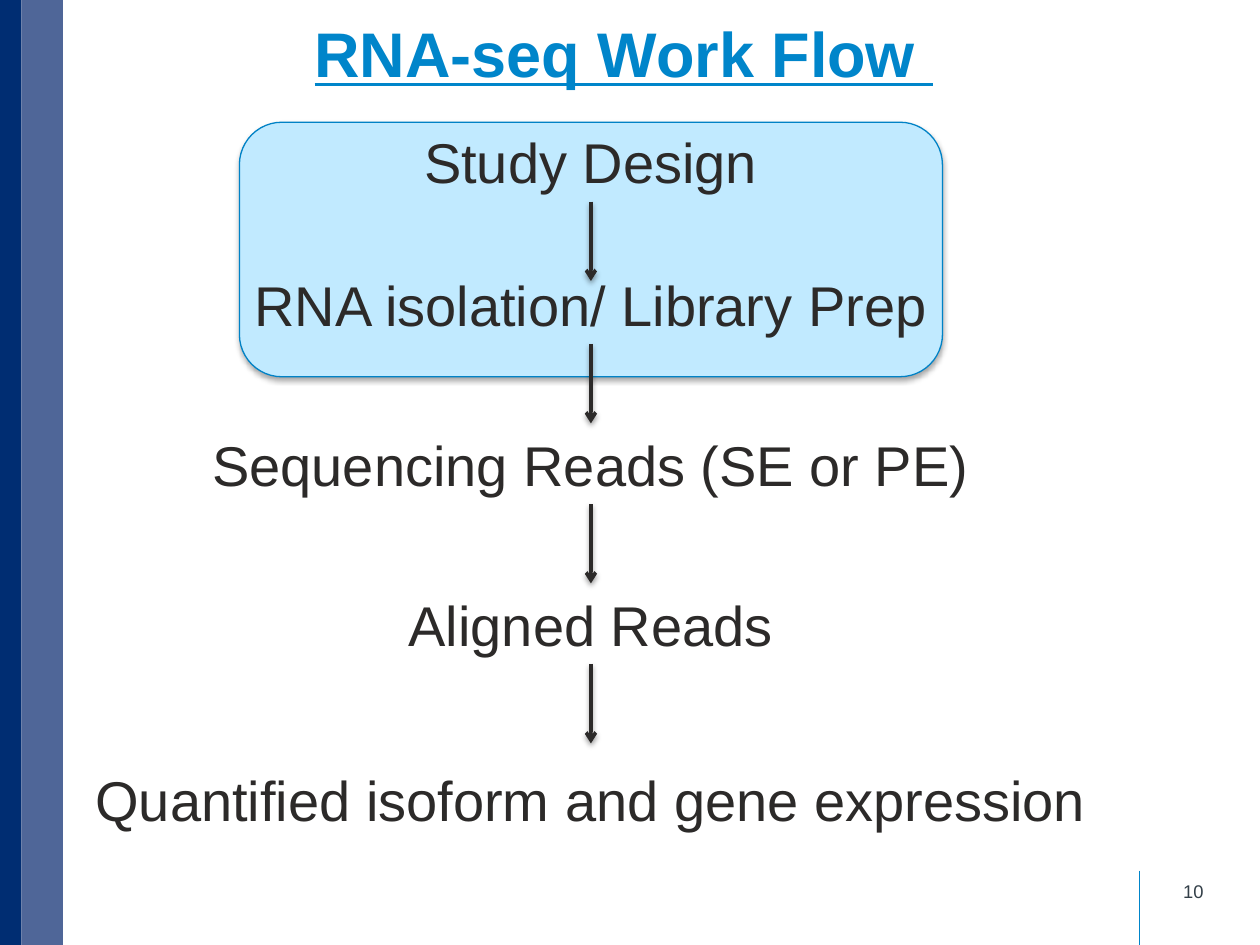
"""Builds the RNA-seq work flow slide: five steps joined by arrows."""
import pptx
import pptx.util
import pptx.dml.color
import pptx.enum.shapes
import pptx.enum.text
import pptx.oxml
import pptx.oxml.ns

Inches, Pt = pptx.util.Inches, pptx.util.Pt
RGB = pptx.dml.color.RGBColor
SHAPE = pptx.enum.shapes.MSO_SHAPE
LINE = pptx.enum.shapes.MSO_CONNECTOR.STRAIGHT
ALIGN = pptx.enum.text.PP_ALIGN
ANCHOR = pptx.enum.text.MSO_ANCHOR
FIT = pptx.enum.text.MSO_AUTO_SIZE
NS = pptx.oxml.ns.nsdecls("a")

NAVY = RGB(0x00, 0x2D, 0x72)
SLATE = RGB(0x4F, 0x66, 0x98)
BLUE = RGB(0x00, 0x85, 0xCA)
EDGE = RGB(0x00, 0x82, 0xC6)
PALE = RGB(0xC1, 0xEA, 0xFF)
INK = RGB(0x2C, 0x2A, 0x29)
GREY = RGB(0x33, 0x3F, 0x48)


def shade(item, alpha, drop):
    """Gives an item a soft shadow straight below it; no alpha means none."""
    glow = ""
    if alpha:
        glow = (f'<a:outerShdw blurRad="{Pt(3.1)}" dist="{Pt(drop)}" dir="5400000" rotWithShape="0">'
                f'<a:srgbClr val="000000"><a:alpha val="{alpha * 1000}"/></a:srgbClr></a:outerShdw>')
    item._element.spPr.append(pptx.oxml.parse_xml(f"<a:effectLst {NS}>{glow}</a:effectLst>"))


def write(shape, text, size, color, align):
    """Puts one line of Arial text in a shape, centred in height."""
    frame = shape.text_frame
    frame.vertical_anchor = ANCHOR.MIDDLE
    frame.text = text
    par = frame.paragraphs[0]
    par.alignment = align
    par.font.name, par.font.size = "Arial", Pt(size)
    par.font.color.rgb = color
    return frame


deck = pptx.Presentation()
deck.slide_width, deck.slide_height = Inches(10), Inches(7.5)
wide, high = deck.slide_width, deck.slide_height
slide = deck.slides.add_slide(deck.slide_layouts[5])
shapes = slide.shapes

rule = shapes.add_connector(LINE, Inches(9.04), Inches(6.91), Inches(9.04), high)
rule.line.color.rgb = BLUE
rule.line.width = Pt(0.25)
shade(rule, 0, 0)

for left, width, color in ((0, 0.17, NAVY), (0.17, 0.33, SLATE)):
    bar = shapes.add_shape(SHAPE.RECTANGLE, Inches(left), 0, Inches(width), high)
    bar.shadow.inherit = False
    bar.fill.solid()
    bar.fill.fore_color.rgb = color
    bar.line.fill.background()

page = shapes.add_textbox(Inches(7.32), Inches(6.87), Inches(2.33), Inches(0.4))
write(page, "10", 10.5, GREY, ALIGN.RIGHT).word_wrap = True

panel = shapes.add_shape(SHAPE.ROUNDED_RECTANGLE, Inches(1.9), Inches(0.97), Inches(5.58), Inches(2.02))
panel.fill.solid()
panel.fill.fore_color.rgb = PALE
panel.line.color.rgb = EDGE
panel.line.width = Pt(0.75)
shade(panel, 35, 1.8)

title = shapes.title
title.left, title.top, title.width, title.height = 0, Inches(0.11), wide, Inches(0.61)
frame = write(title, "RNA-seq Work Flow ", 36, BLUE, ALIGN.CENTER)
frame.auto_size = FIT.NONE
frame.margin_left = 0
font = frame.paragraphs[0].font
font.bold = font.underline = True

mid, row, gap = Inches(4.69), Inches(0.64), Inches(0.63)
steps = (
    ("Study Design", 0.96, 2.87),
    ("RNA isolation/ Library Prep", 2.09, 5.58),
    ("Sequencing Reads (SE or PE)", 3.36, 6.26),
    ("Aligned Reads", 4.63, 3.12),
    ("Quantified isoform and gene expression", 6.02, 8.12),
)
for step, (text, top, width) in enumerate(steps, 1):
    box = shapes.add_textbox(mid - Inches(width / 2), Inches(top), Inches(width), row)
    frame = write(box, text, 32, INK, ALIGN.CENTER)
    frame.word_wrap = False
    frame.auto_size = FIT.SHAPE_TO_FIT_TEXT
    if step < len(steps):
        foot = Inches(top) + row
        arrow = shapes.add_connector(LINE, mid, foot, mid, foot + gap)
        arrow.line.color.rgb = INK
        arrow.line.width = Pt(2)
        stroke = arrow._element.spPr.find(pptx.oxml.ns.qn("a:ln"))
        stroke.append(pptx.oxml.parse_xml(f'<a:tailEnd {NS} type="arrow"/>'))
        shade(arrow, 38, 1.6)

deck.save("out.pptx")
